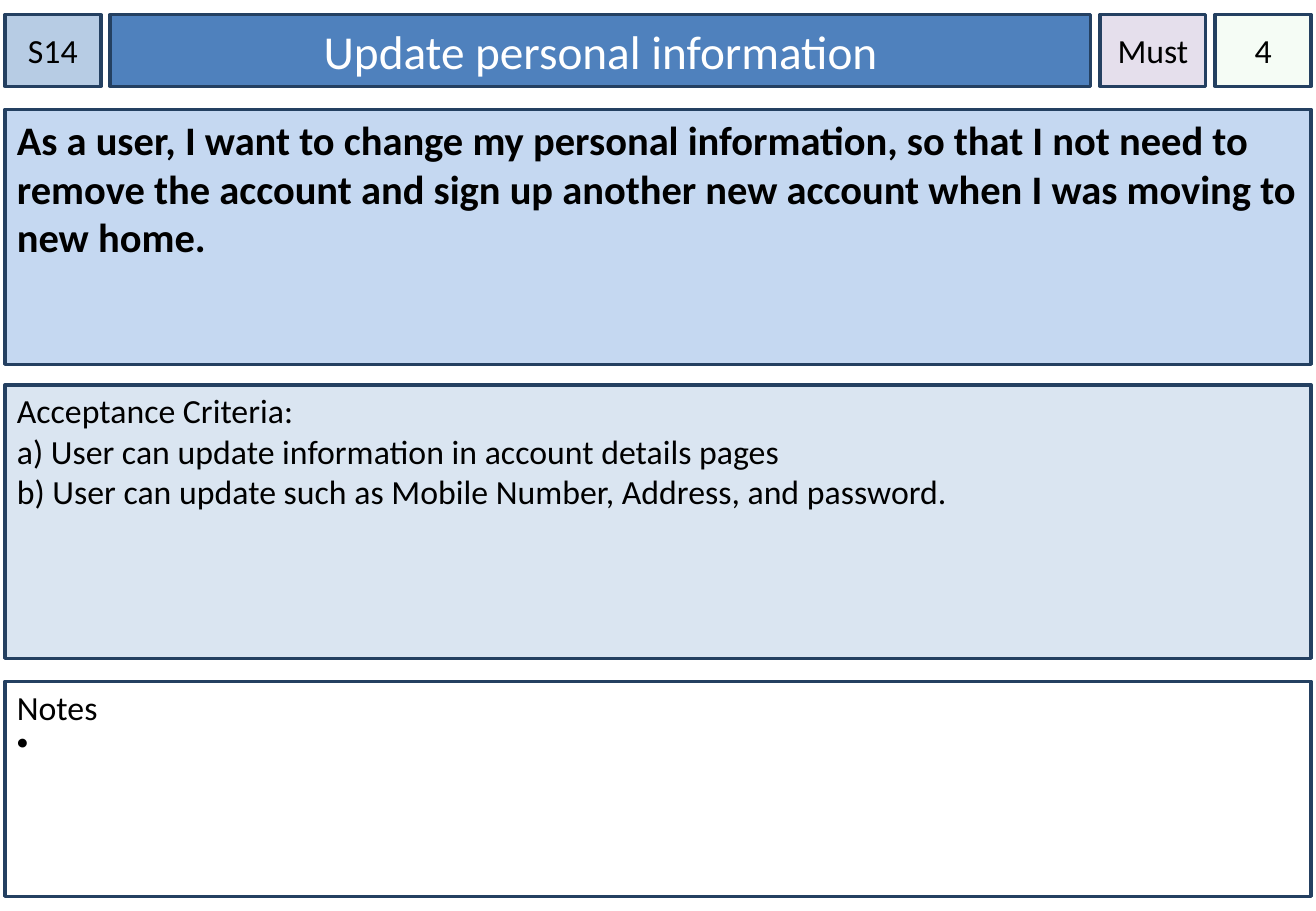
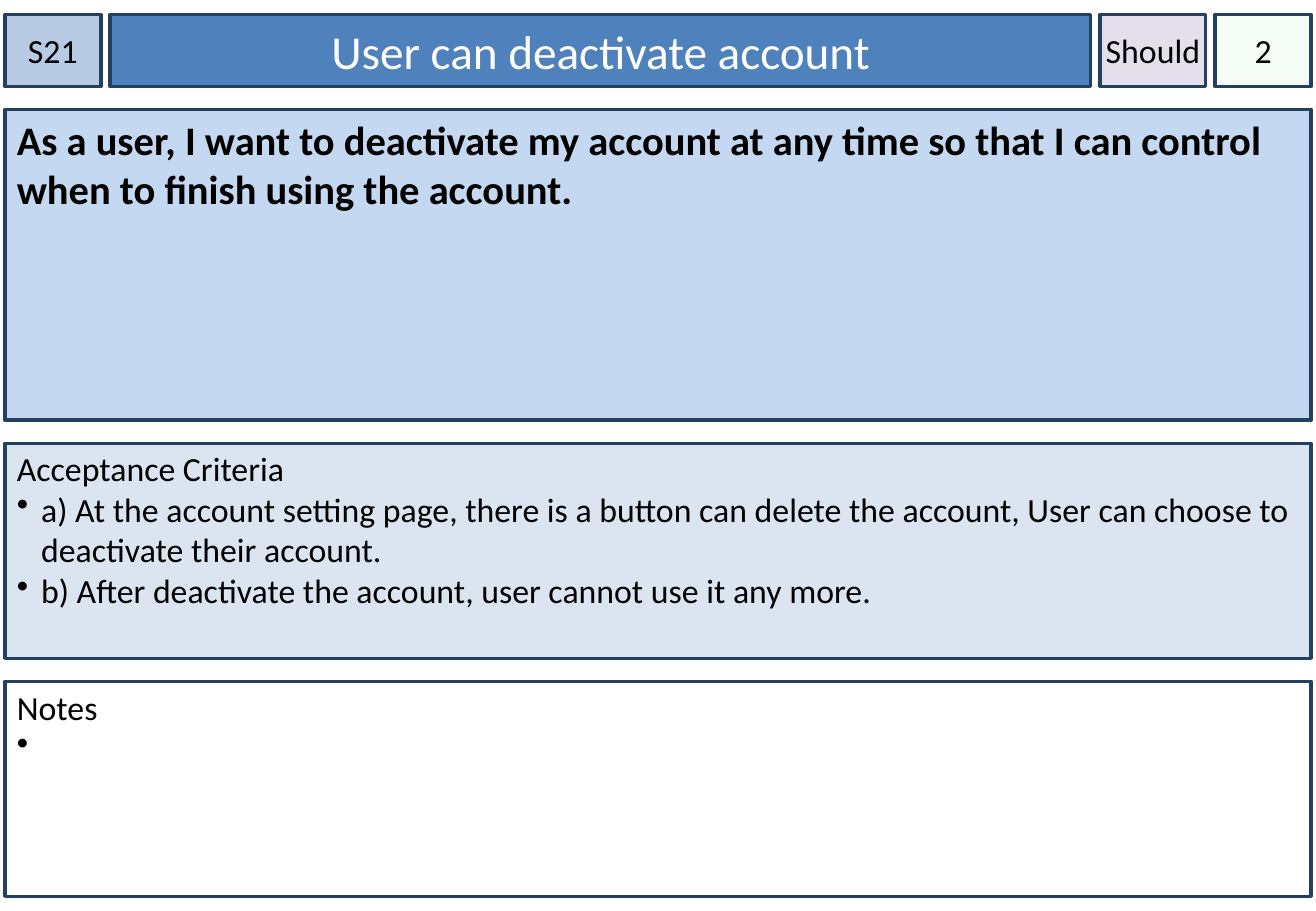
from lxml import etree
from pptx import Presentation, util as u
from pptx.dml.color import RGBColor
from pptx.enum import shapes, text
from pptx.oxml.ns import qn

# Content: panel lines are (text, bulleted)
NOTES = [("Notes", False), (" ", True)]
STORIES = [
    {
        "id": "S14", "title": "Update personal information",
        "priority": "Must", "points": "4",
        "story": "As a user, I want to change my personal information, so that I not need to "
                 "remove the account and sign up another new account when I was moving to new home.",
        "criteria": [
            ("Acceptance Criteria:", False),
            ("a) User can update information in account details pages", False),
            ("b) User can update such as Mobile Number, Address, and password.", False),
        ],
        "story_height": 2.1, "criteria_height": 2.25,
    },
    {
        "id": "S21", "title": "User can deactivate account",
        "priority": "Should", "points": "2",
        "story": "As a user, I want to deactivate my account at any time so that I can control "
                 "when to finish using the account.",
        "criteria": [
            ("Acceptance Criteria", False),
            ("a) At the account setting page, there is a button can delete the account, "
             "User can choose to deactivate their account.", True),
            ("b) After deactivate the account, user cannot use it any more.", True),
        ],
        "story_height": 2.56, "criteria_height": 1.77,
    },
]

# Shared look
FONT = "Calibri"
BORDER, BLACK, WHITE = "244061", "000000", "FFFFFF"
STORY_FILL, CRITERIA_FILL = "C5D8F1", "DAE5F1"

# Shared geometry, in inches
SLIDE_W, SLIDE_H = 10.83, 7.5
MARGIN, BAND_TOP, BAND_H = 0.04, 0.12, 0.59
GAP, NOTES_H = 0.19, 1.77
FULL_W = SLIDE_W - 2 * MARGIN
STORY_TOP = BAND_TOP + BAND_H + GAP
NOTES_TOP = SLIDE_H - BAND_TOP - NOTES_H

# Header band: key, width, fill, text colour, size, side inset
BAND = [
    ("id", 0.79, "B7CCE4", BLACK, 20, 0),
    ("title", 8.07, "4F81BD", WHITE, 28, 0.1),
    ("priority", 0.87, "E5DFEC", BLACK, 20, 0),
    ("points", 0.79, "F5FCF5", BLACK, 20, 0),
]
BAND_GAP = (FULL_W - sum(cell[1] for cell in BAND)) / (len(BAND) - 1)


def color(value):
    return RGBColor.from_string(value)


def add_rectangle(page):
    box = page.shapes.add_shape(shapes.MSO_SHAPE.RECTANGLE, 0, 0, 0, 0)
    box.shadow.inherit = False
    return box


def style_box(box, left, top, width, height, fill, side=0.1, inset_top=0.05, centred=False):
    box.left, box.top, box.width, box.height = map(u.Inches, (left, top, width, height))
    box.fill.solid()
    box.fill.fore_color.rgb = color(fill)
    box.line.color.rgb = color(BORDER)
    box.line.width = u.Pt(2)
    frame = box.text_frame
    frame.word_wrap = True
    frame.auto_size = text.MSO_AUTO_SIZE.NONE
    frame.margin_left = frame.margin_right = u.Inches(side)
    frame.margin_top, frame.margin_bottom = u.Inches(inset_top), u.Inches(0.05)
    anchor = text.MSO_ANCHOR
    frame.vertical_anchor = anchor.MIDDLE if centred else anchor.TOP


def add_bullet(para):
    props = para._p.get_or_add_pPr()
    props.set("marL", str(u.Inches(0.2)))
    props.set("indent", str(-u.Inches(0.2)))
    etree.SubElement(props, qn("a:buChar")).set("char", "•")


def write(box, lines, size, ink=BLACK, bold=False, centred=False):
    frame = box.text_frame
    for index, (words, bulleted) in enumerate(lines):
        para = frame.add_paragraph() if index else frame.paragraphs[0]
        para.alignment = text.PP_ALIGN.CENTER if centred else text.PP_ALIGN.LEFT
        if bulleted:
            add_bullet(para)
        span = para.add_run()
        span.text = words
        span.font.name, span.font.size, span.font.bold = FONT, u.Pt(size), bold
        span.font.color.rgb = color(ink)


def add_band(page, story):
    left = MARGIN
    for key, width, fill, ink, size, side in BAND:
        box = page.shapes.title if key == "title" else add_rectangle(page)
        style_box(box, left, BAND_TOP, width, BAND_H, fill, side, centred=True)
        write(box, [(story[key], False)], size, ink, centred=True)
        left += width + BAND_GAP


def add_panels(page, story):
    criteria_h = story["criteria_height"]
    criteria_top = NOTES_TOP - GAP - criteria_h
    panels = [
        # top, height, fill, top inset, lines, size, bold
        (STORY_TOP, story["story_height"], STORY_FILL, 0.05, [(story["story"], False)], 24, True),
        (criteria_top, criteria_h, CRITERIA_FILL, 0.04, story["criteria"], 20, False),
        (NOTES_TOP, NOTES_H, WHITE, 0.04, NOTES, 20, False),
    ]
    for top, height, fill, inset_top, lines, size, bold in panels:
        box = add_rectangle(page)
        style_box(box, MARGIN, top, FULL_W, height, fill, inset_top=inset_top)
        write(box, lines, size, bold=bold)


def main():
    deck = Presentation()
    deck.slide_width, deck.slide_height = u.Inches(SLIDE_W), u.Inches(SLIDE_H)
    title_only = deck.slide_layouts.get_by_name("Title Only")
    for story in STORIES:
        page = deck.slides.add_slide(title_only)
        add_band(page, story)
        add_panels(page, story)
    deck.save("out.pptx")


if __name__ == "__main__":
    main()
